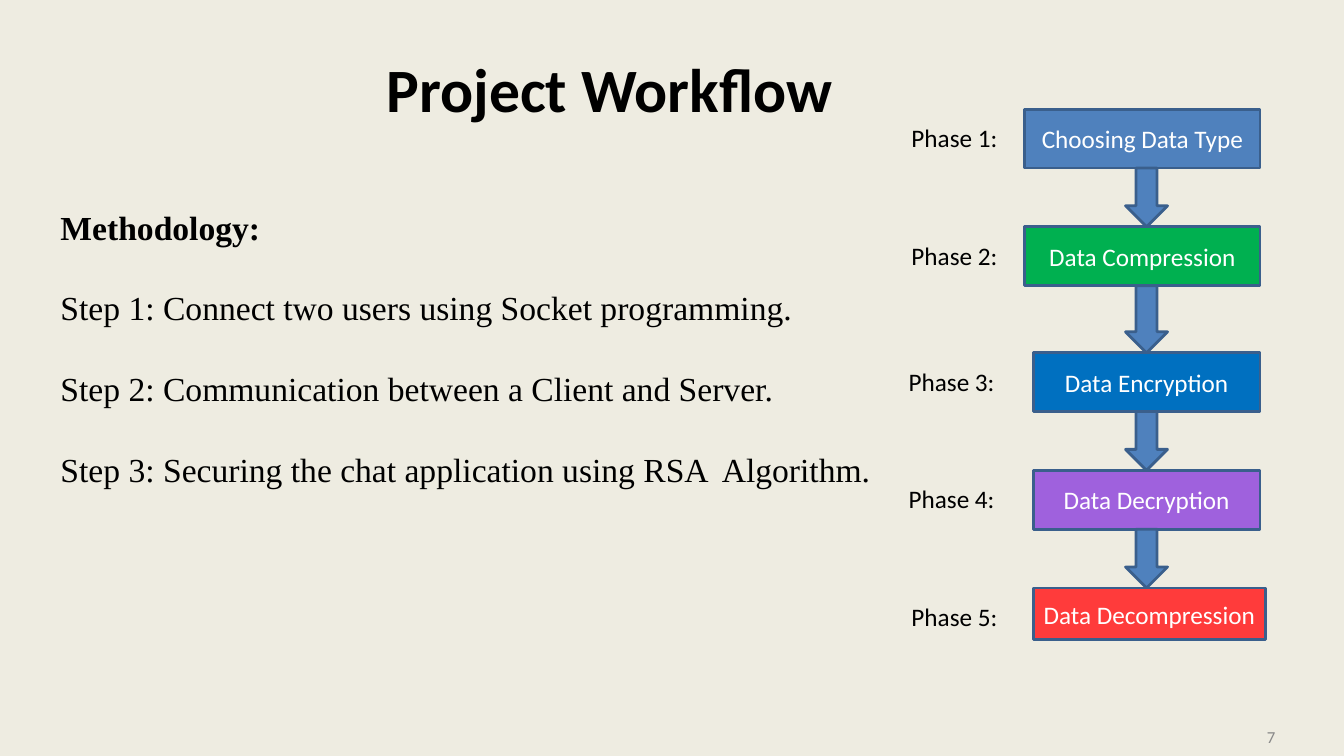
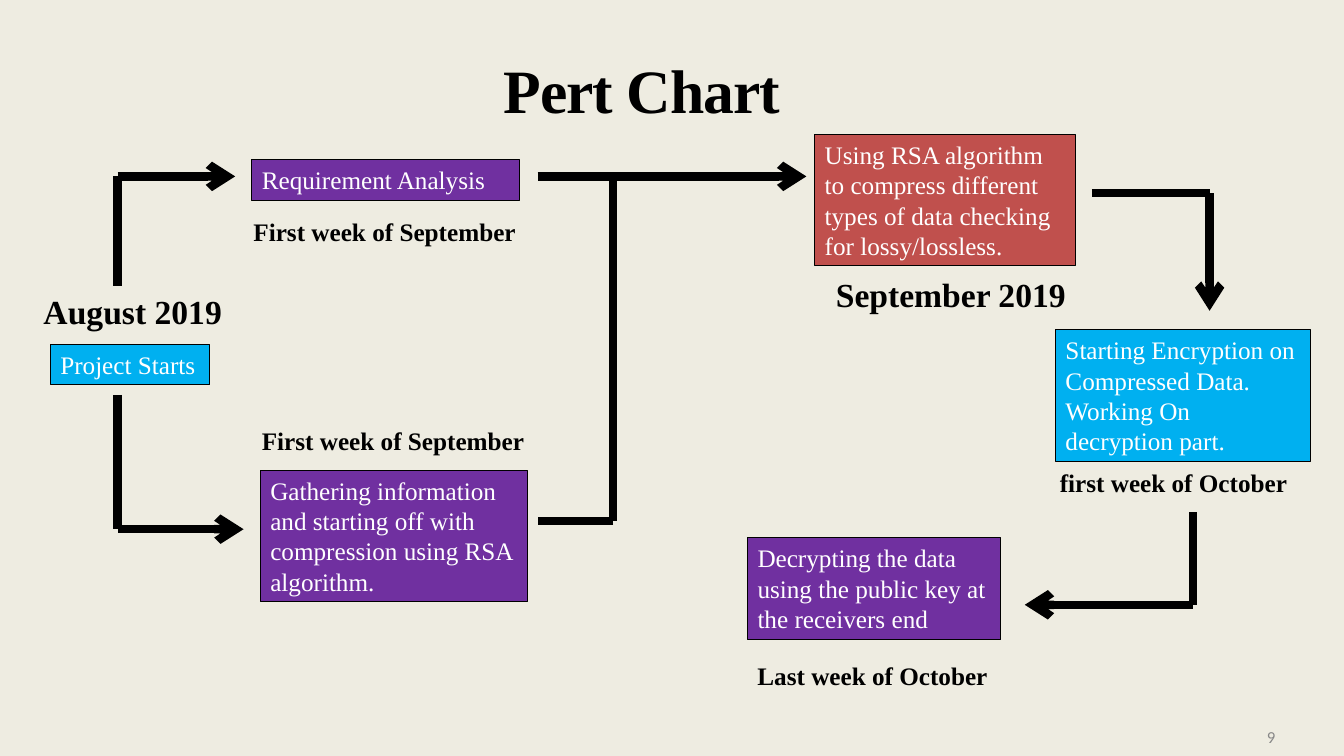
from itertools import pairwise

from lxml import etree
from pptx import Presentation
from pptx.dml.color import RGBColor
from pptx.enum import shapes, text
from pptx.oxml.ns import qn
from pptx.util import Pt

SANS, SERIF = "Calibri", "Times New Roman"
BLACK, WHITE, GREY, BEIGE = "000000", "FFFFFF", "888888", "EEECE1"
BLUE, NAVY, GREEN, OCEAN = "4F81BD", "3A5F8C", "00B050", "0070C0"
LILAC, RED, PURPLE, BRICK, SKY = "9F61DD", "FF3B3B", "7030A0", "C0504D", "00B0F0"


def rgb(value):
    return RGBColor.from_string(value)


def style(p, font, size, color=BLACK, bold=False, align=text.PP_ALIGN.LEFT):
    p.alignment = align
    for r in p.runs:
        r.font.name, r.font.size, r.font.bold = font, Pt(size), bold
        r.font.color.rgb = rgb(color)


def place(sp, left, top, width, height):
    sp.left, sp.top, sp.width, sp.height = map(Pt, (left, top, width, height))


def clear_insets(tf):
    tf.margin_left = tf.margin_top = tf.margin_right = tf.margin_bottom = 0


def add_slide(prs, layout, title, title_box, font, number):
    """Add a slide with its title and page number."""
    s = prs.slides.add_slide(prs.slide_layouts[layout])
    place(s.shapes.title, *title_box)
    tf = s.shapes.title.text_frame
    clear_insets(tf)
    tf.auto_size = text.MSO_AUTO_SIZE.NONE
    tf.text = title
    style(tf.paragraphs[0], font, 44, bold=True)
    page = add_label(s, number, (905, 521, 16, 14), SANS, 12, GREY)
    clear_insets(page.text_frame)
    page.text_frame.paragraphs[0].line_spacing = Pt(12.4)
    return s


def add_label(s, words, box, font, size=18, color=BLACK, bold=False):
    sp = s.shapes.add_textbox(*map(Pt, box))
    tf = sp.text_frame
    tf.word_wrap = True
    tf.text = words
    style(tf.paragraphs[0], font, size, color, bold)
    return sp


def add_block(s, kind, box, fill, line, line_width):
    sp = s.shapes.add_shape(kind, *map(Pt, box))
    sp.shadow.inherit = False
    sp.fill.solid()
    sp.fill.fore_color.rgb = rgb(fill)
    sp.line.color.rgb = rgb(line)
    sp.line.width = Pt(line_width)
    return sp


def add_box(s, words, box, fill, font, line=BLACK, line_width=0.75, centred=False):
    sp = add_block(s, shapes.MSO_SHAPE.RECTANGLE, box, fill, line, line_width)
    tf = sp.text_frame
    tf.word_wrap = True
    tf.vertical_anchor = text.MSO_ANCHOR.MIDDLE if centred else text.MSO_ANCHOR.TOP
    tf.text = words
    align = text.PP_ALIGN.CENTER if centred else text.PP_ALIGN.LEFT
    style(tf.paragraphs[0], font, 18, WHITE, align=align)


def add_route(s, points, arrow=True):
    """Join the points with thick lines, with an arrowhead at the last one."""
    for start, end in pairwise(points):
        line = s.shapes.add_connector(
            shapes.MSO_CONNECTOR.STRAIGHT, *map(Pt, (*start, *end)))
        line.line.color.rgb = rgb(BLACK)
        line.line.width = Pt(6)
        etree.SubElement(line._element.spPr, qn("a:effectLst"))
    if arrow:
        etree.SubElement(line.line._get_or_add_ln(), qn("a:tailEnd"), type="arrow")


def fill_body(s, box, heading, steps):
    sp = s.placeholders[1]
    place(sp, *box)
    tf = sp.text_frame
    tf.auto_size = text.MSO_AUTO_SIZE.NONE
    tf.text = "\n".join([heading, *steps])
    for i, p in enumerate(tf.paragraphs):
        style(p, SERIF, 24, bold=i == 0)
        p.space_before = Pt(0)
        p.line_spacing = 2.0 if i else 1.0
        pPr = p._p.get_or_add_pPr()
        pPr.set("marL", "0")
        pPr.set("indent", "0")
        etree.SubElement(pPr, qn("a:buNone"))


def workflow_slide(prs):
    s = add_slide(prs, 1, "Project Workflow", (276, 35, 336, 55), SANS, "7")
    fill_body(s, (36, 144, 606, 240), "Methodology:", [
        "Step 1: Connect two users using Socket programming.",
        "Step 2: Communication between a Client and Server.",
        "Step 3: Securing the chat application using RSA  Algorithm.",
    ])
    phases = [  # name, fill, label left, box
        ("Choosing Data Type", BLUE, 644, (732, 78, 168, 42)),
        ("Data Compression", GREEN, 644, (732, 162, 168, 42)),
        ("Data Encryption", OCEAN, 642, (738, 252, 162, 42)),
        ("Data Decryption", LILAC, 642, (738, 336, 162, 42)),
        ("Data Decompression", RED, 644, (738, 420, 166, 37)),
    ]
    for i, (name, fill, left, box) in enumerate(phases, 1):
        add_label(s, f"Phase {i}:", (left, box[1] + 6, 80, 29), SANS)
        add_box(s, name, box, fill, SANS, NAVY, 2, centred=True)
    for (*_, upper), (*_, lower) in pairwise(phases):
        bottom = upper[1] + upper[3]
        add_block(s, shapes.MSO_SHAPE.DOWN_ARROW,
                  (804, bottom, 30, lower[1] - bottom), BLUE, NAVY, 2)


def pert_slide(prs):
    s = add_slide(prs, 5, "Pert Chart", (360, 36, 220, 55), SERIF, "9")
    title_run = s.shapes.title.text_frame.paragraphs[0].runs[0]
    title_run.font._element.set("spc", "-80")

    for words, box, fill in [
        ("Project Starts", (36, 246, 114, 29), SKY),
        ("Requirement Analysis", (180, 114, 191, 29), PURPLE),
        ("Gathering information and starting off with compression using RSA "
         "algorithm.", (186, 336, 191, 94), PURPLE),
        ("Using RSA algorithm to compress different types of data checking for "
         "lossy/lossless.", (582, 96, 186, 94), BRICK),
        ("Starting Encryption on Compressed Data. Working On decryption part.",
         (754, 235.5, 182, 94), SKY),
        ("Decrypting the data using the public key at the receivers end",
         (534, 384, 181, 73), PURPLE),
    ]:
        add_box(s, words, box, fill, SERIF)

    for words, left, top, size in [
        ("August 2019", 24, 204, 24),
        ("First week of September", 174, 151, 18),
        ("First week of September", 180, 300, 18),
        ("September 2019", 590, 192, 24),
        ("first week of October", 750, 330, 18),
        ("Last week of October", 534, 468, 18),
    ]:
        add_label(s, words, (left, top, 208, size * 1.6), SERIF, size, bold=True)

    for points in [
        [(84, 204), (84, 126), (168, 126)],
        [(84, 282), (84, 378), (174, 378)],
        [(384, 126), (576, 126)],
        [(780, 138), (864, 138), (864, 222)],
        [(852, 366), (852, 432), (732, 432)],
    ]:
        add_route(s, points)
    add_route(s, [(438, 126), (438, 372), (384, 372)], arrow=False)


def main():
    prs = Presentation()
    prs.slide_width, prs.slide_height = Pt(960), Pt(540)
    background = prs.slide_master.background.fill
    background.solid()
    background.fore_color.rgb = rgb(BEIGE)
    workflow_slide(prs)
    pert_slide(prs)
    prs.save("out.pptx")


if __name__ == "__main__":
    main()
